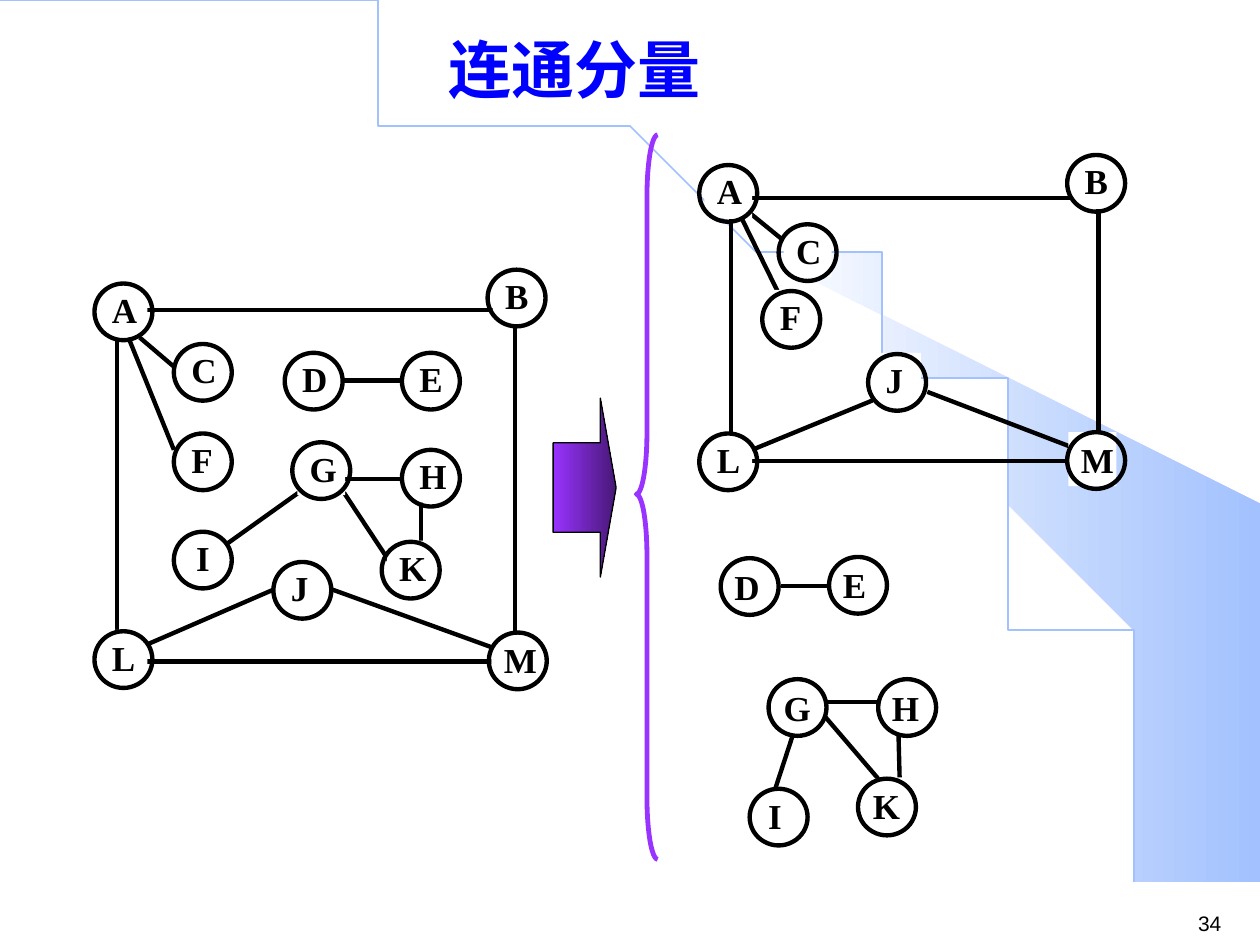
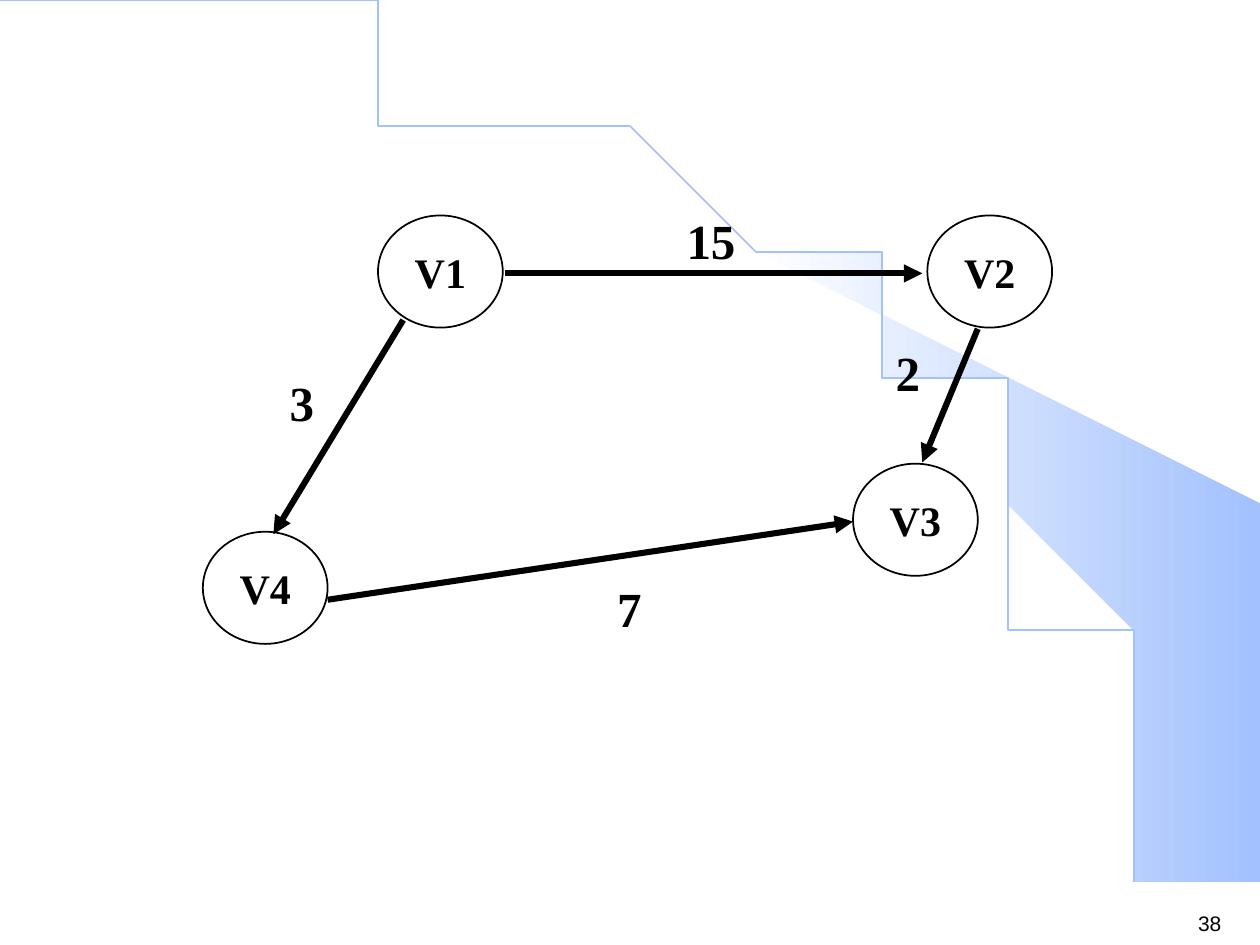
from dataclasses import dataclass

from lxml.etree import SubElement
from pptx import Presentation
from pptx.dml.color import RGBColor
from pptx.enum.shapes import MSO_CONNECTOR, MSO_SHAPE
from pptx.enum.text import MSO_ANCHOR, PP_ALIGN
from pptx.oxml.ns import qn
from pptx.util import Inches, Pt

BLACK, WHITE, BLUE = "000000", "FFFFFF", "0000FF"
SKY, PURPLE, DARK_PURPLE = "A2C1FE", "9933FF", "471876"
SERIF, SANS = "Times New Roman", "Arial"

# Background: curve control points and wedge outline
ARC = [(0, 0), (5.08, 0), (9.2, 3.35), (9.2, 7.49)]
ARC_STEPS = 80
WEDGE = [
    (9.2, 7.48), (9.99, 7.49), (9.99, 4.23), (5.89, 1.73), (6.24, 1.99),
    (6.53, 2.22), (6.85, 2.5), (7.16, 2.8), (7.62, 3.3), (8.03, 3.84),
    (8.32, 4.31), (8.58, 4.79), (8.78, 5.28), (8.93, 5.72), (9.03, 6.09),
    (9.13, 6.56), (9.17, 6.96),
]
NODE_SIZE = (0.46, 0.45)
LETTER_SIZE = (0.38, 0.43)
VERTEX_SIZE = (0.99, 0.89)


@dataclass(frozen=True)
class Node:
    """A ringed letter; the shift places the letter inside the ring."""
    name: str
    left: float
    top: float
    shift_x: float = 0.04
    shift_y: float = -0.01


@dataclass(frozen=True)
class Edge:
    x1: float
    y1: float
    x2: float
    y2: float


@dataclass(frozen=True)
class Label:
    text: str
    left: float
    top: float
    width: float = 0.4


WHOLE_GRAPH_EDGES = [
    Edge(1.11, 2.46, 3.91, 2.46), Edge(0.93, 2.68, 0.93, 5.03),
    Edge(1.11, 2.68, 1.38, 2.91), Edge(1.02, 2.68, 1.38, 3.57),
    Edge(2.73, 3.02, 3.19, 3.02), Edge(2.73, 3.8, 3.19, 3.8),
    Edge(2.37, 3.91, 1.74, 4.36), Edge(3.34, 3.98, 3.34, 4.29),
    Edge(2.73, 3.91, 3.1, 4.47), Edge(1.11, 5.25, 3.91, 5.25),
    Edge(4.09, 2.57, 4.09, 5.03), Edge(1.11, 5.14, 2.17, 4.68),
    Edge(2.64, 4.68, 3.91, 5.14),
]
COMPONENT_EDGES = [
    Edge(6.2, 4.65, 6.62, 4.65), Edge(6.55, 5.57, 6.97, 5.57),
    Edge(6.3, 5.81, 6.14, 6.3), Edge(7.13, 5.79, 7.14, 6.17),
    Edge(6.55, 5.69, 6.97, 6.18), Edge(5.97, 1.57, 8.56, 1.57),
    Edge(5.8, 1.74, 5.8, 3.49), Edge(5.95, 1.69, 6.22, 1.91),
    Edge(5.89, 1.74, 6.22, 2.41), Edge(5.97, 3.66, 8.56, 3.66),
    Edge(8.72, 1.66, 8.72, 3.49), Edge(5.97, 3.57, 6.97, 3.16),
    Edge(7.36, 3.11, 8.56, 3.57),
]
WHOLE_GRAPH_NODES = [
    Node("B", 3.87, 2.14), Node("A", 0.75, 2.25), Node("E", 3.19, 2.8),
    Node("J", 2.17, 4.46), Node("K", 3.03, 4.3), Node("G", 2.32, 3.51),
    Node("L", 0.75, 5.01), Node("M", 3.88, 5.02, 0.02, 0),
    Node("D", 2.26, 2.8), Node("I", 1.38, 4.22), Node("F", 1.38, 3.44),
    Node("C", 1.38, 2.73), Node("H", 3.19, 3.57),
]
COMPONENT_NODES = [
    Node("A", 5.55, 1.31), Node("L", 5.55, 3.44), Node("J", 6.89, 2.81),
    Node("C", 6.18, 1.78), Node("F", 6.05, 2.31), Node("B", 8.47, 1.23),
    Node("M", 8.47, 3.43, 0.01, 0), Node("D", 5.72, 4.43, 0.01, 0.01),
    Node("E", 6.58, 4.42, 0.01, 0), Node("K", 6.81, 6.18, 0.02, 0),
    Node("I", 5.95, 6.26, 0.01, 0), Node("H", 6.97, 5.39, 0.01, 0.01),
    Node("G", 6.1, 5.39, 0.02, 0.01),
]
VERTICES = [
    Label("V1", 3, 1.71), Label("V2", 7.36, 1.71),
    Label("V3", 6.77, 3.68), Label("V4", 1.61, 4.22),
]
ARROWS = [
    Edge(3.2, 2.54, 2.17, 4.24), Edge(4.01, 2.17, 7.32, 2.17),
    Edge(7.76, 2.61, 7.32, 3.67), Edge(2.6, 4.76, 6.77, 4.14),
]
WEIGHTS = [
    Label("2", 7.01, 2.67), Label("3", 2.2, 2.91),
    Label("15", 5.35, 1.62, 0.88), Label("7", 4.8, 4.54),
]


def color(value: str) -> RGBColor:
    return RGBColor.from_string(value)


def style(shape, fill=None, line=None, line_width: float = 1) -> None:
    """Fill is a hex string, a pair of them for a gradient, or None."""
    shape.shadow.inherit = False
    if fill is None:
        shape.fill.background()
    elif isinstance(fill, str):
        shape.fill.solid()
        shape.fill.fore_color.rgb = color(fill)
    else:
        shape.fill.gradient()
        shape.fill.gradient_angle = 0
        for stop, value in zip(shape.fill.gradient_stops, fill):
            stop.color.rgb = color(value)
    if line is None:
        shape.line.fill.background()
    else:
        shape.line.color.rgb = color(line)
        shape.line.width = Pt(line_width)


def write(shape, text: str, *, size: float, font: str = SERIF,
          ink: str = BLACK, bold: bool = True, align=PP_ALIGN.LEFT,
          anchor=MSO_ANCHOR.TOP) -> None:
    frame = shape.text_frame
    frame.word_wrap = True
    frame.vertical_anchor = anchor
    para = frame.paragraphs[0]
    para.alignment = align
    span = para.add_run()
    span.text = text
    span.font.name = font
    span.font.size = Pt(size)
    span.font.bold = bold
    span.font.color.rgb = color(ink)


def add_text(page, text: str, left: float, top: float, width: float,
             height: float, **text_format) -> None:
    box = page.shapes.add_textbox(Inches(left), Inches(top), Inches(width), Inches(height))
    write(box, text, **text_format)


def add_figure(page, kind, left: float, top: float, width: float,
               height: float, **look):
    shape = page.shapes.add_shape(
        kind, Inches(left), Inches(top), Inches(width), Inches(height))
    style(shape, **look)
    return shape


def add_outline(page, points: list, closed: bool, **look) -> None:
    builder = page.shapes.build_freeform(*points[0], scale=Inches(1))
    builder.add_line_segments(points[1:], close=closed)
    style(builder.convert_to_shape(), **look)


def add_edge(page, edge: Edge, line_width: float = 2.5, arrow: bool = False) -> None:
    line = page.shapes.add_connector(
        MSO_CONNECTOR.STRAIGHT, Inches(edge.x1), Inches(edge.y1),
        Inches(edge.x2), Inches(edge.y2))
    line.line.color.rgb = color(BLACK)
    line.line.width = Pt(line_width)
    properties = line._element.spPr
    if arrow:
        SubElement(properties.find(qn("a:ln")), qn("a:tailEnd"), type="triangle")
    SubElement(properties, qn("a:effectLst"))


def add_node(page, node: Node) -> None:
    letter = add_figure(page, MSO_SHAPE.RECTANGLE, node.left + node.shift_x,
                        node.top + node.shift_y, *LETTER_SIZE, fill=WHITE)
    align = PP_ALIGN.CENTER if node.name == "I" else PP_ALIGN.LEFT
    write(letter, node.name, size=20, align=align)
    add_figure(page, MSO_SHAPE.OVAL, node.left, node.top, *NODE_SIZE,
               line=BLACK, line_width=2.5)


def arc_point(t: float) -> tuple:
    weights = ((1 - t) ** 3, 3 * t * (1 - t) ** 2, 3 * t ** 2 * (1 - t), t ** 3)
    return tuple(sum(w * point[axis] for w, point in zip(weights, ARC))
                 for axis in (0, 1))


def add_page(deck, number: str):
    """Add a page with the shared background and page number."""
    page = deck.slides.add_slide(deck.slide_layouts[6])
    add_outline(page, WEDGE, True, fill=(WHITE, SKY))
    arc = [arc_point(step / ARC_STEPS) for step in range(ARC_STEPS + 1)]
    add_outline(page, arc, False, line=SKY)
    add_text(page, number, 9.41, 7.18, 0.59, 0.3, size=12, font=SANS, bold=False)
    return page


def build_components(deck) -> None:
    page = add_page(deck, "34")
    add_text(page, "连通分量", 0.31, 0.21, 8.5, 0.67, size=36, ink=BLUE,
             align=PP_ALIGN.CENTER, anchor=MSO_ANCHOR.MIDDLE)
    for edge in WHOLE_GRAPH_EDGES + COMPONENT_EDGES:
        add_edge(page, edge)

    # Brace and arrow between the graph and its components
    brace = add_figure(page, MSO_SHAPE.LEFT_BRACE, 5.05, 1.07, 0.17, 5.75,
                       line=PURPLE, line_width=2.75)
    brace.adjustments[0] = 2.875
    brace.adjustments[1] = 0.496
    arrow = add_figure(page, MSO_SHAPE.RIGHT_ARROW, 4.39, 3.16, 0.5, 1.42,
                       fill=(PURPLE, DARK_PURPLE), line=BLACK, line_width=0.75)
    arrow.adjustments[1] = 0.25

    for node in WHOLE_GRAPH_NODES + COMPONENT_NODES:
        add_node(page, node)


def build_weighted_graph(deck) -> None:
    page = add_page(deck, "38")
    for vertex in VERTICES:
        circle = add_figure(page, MSO_SHAPE.OVAL, vertex.left, vertex.top,
                            *VERTEX_SIZE, fill=WHITE, line=BLACK)
        write(circle, vertex.text, size=24, align=PP_ALIGN.CENTER,
              anchor=MSO_ANCHOR.MIDDLE)
    for edge in ARROWS:
        add_edge(page, edge, line_width=3.5, arrow=True)
    for weight in WEIGHTS:
        add_text(page, weight.text, weight.left, weight.top, weight.width, 0.57, size=28)


def main() -> None:
    deck = Presentation()
    deck.slide_width, deck.slide_height = Inches(10), Inches(7.5)
    build_components(deck)
    build_weighted_graph(deck)
    deck.save("out.pptx")


if __name__ == "__main__":
    main()
